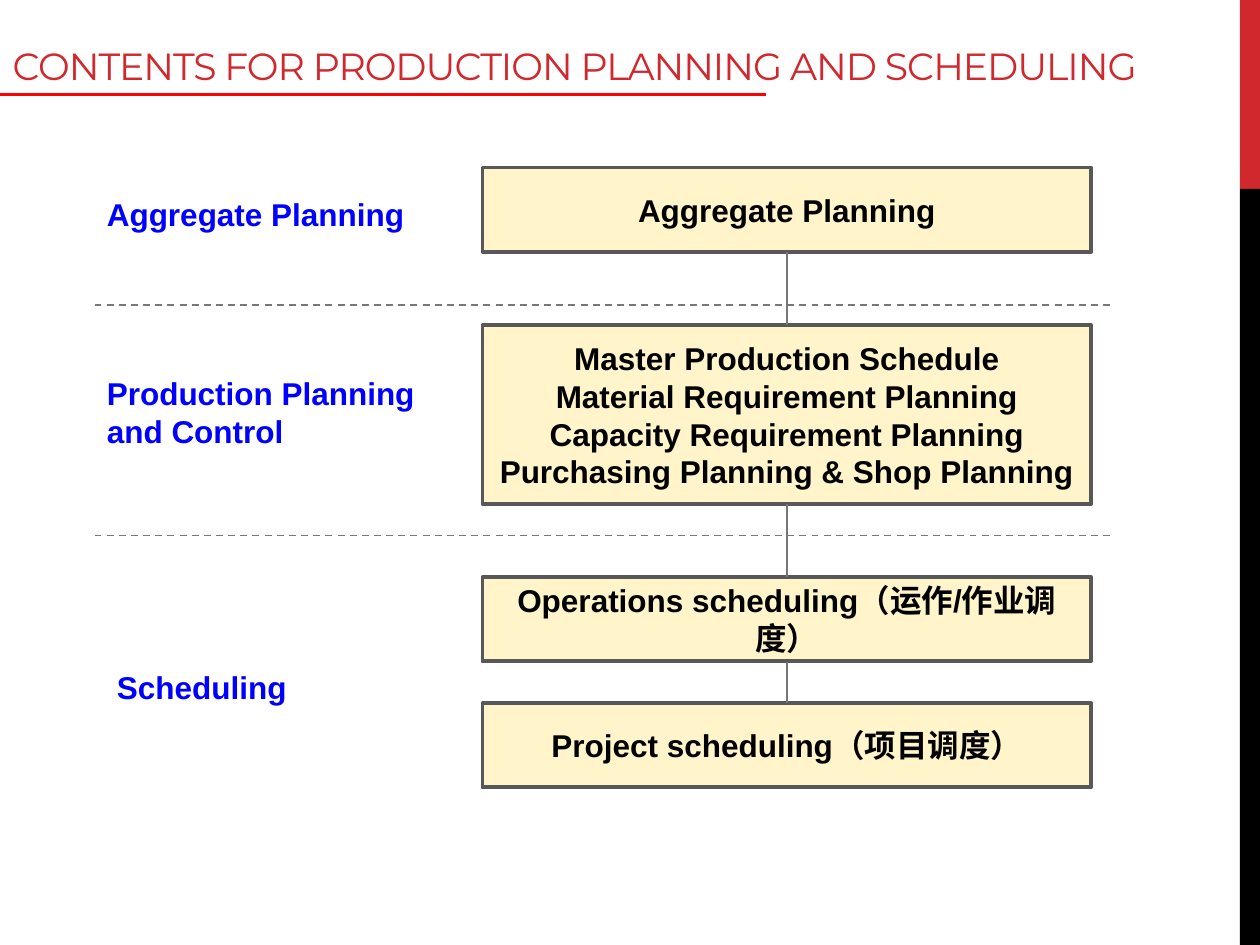
from lxml import etree
from pptx import Presentation
from pptx import util as u
from pptx.dml.color import RGBColor
from pptx.enum import dml, shapes, text
from pptx.oxml.ns import qn

RED = RGBColor(0xD1, 0x28, 0x2E)
RULE_RED = RGBColor(0xFF, 0x00, 0x00)
BLACK = RGBColor(0x00, 0x00, 0x00)
CREAM = RGBColor(0xFF, 0xF4, 0xCA)
BORDER_GREY = RGBColor(0x58, 0x58, 0x58)
LINE_GREY = RGBColor(0x77, 0x77, 0x77)
BLUE = RGBColor(0x00, 0x00, 0xFF)

STEPS = [
    (1.33, 0.67, ["Aggregate Planning"]),
    (2.58, 1.42, ["Master Production Schedule", "Material Requirement Planning",
                  "Capacity Requirement Planning", "Purchasing Planning & Shop Planning"]),
    (4.58, 0.67, ["Operations scheduling（运作/作业调度）"]),
    (5.58, 0.67, ["Project scheduling（项目调度）"]),
]
STAGES = [
    (0.75, 1.5, 0.4, "Aggregate Planning"),
    (0.75, 2.92, 0.71, "Production Planning and Control"),
    (0.83, 5.25, 0.4, "Scheduling"),
]
STAGE_BREAKS = [2.42, 4.25]


def write(frame, lines, size=18, font="Arial", color=BLACK, bold=True,
          align=text.PP_ALIGN.LEFT, anchor=text.MSO_ANCHOR.TOP, spacing=None):
    """Fill a text frame with one formatted paragraph per line."""
    frame.word_wrap = True
    frame.vertical_anchor = anchor
    for index, line in enumerate(lines):
        paragraph = frame.add_paragraph() if index else frame.paragraphs[0]
        paragraph.alignment = align
        run = paragraph.add_run()
        run.text = line
        run.font.size = u.Pt(size)
        run.font.name = font
        run.font.bold = bold
        run.font.color.rgb = color
        if spacing is not None:
            run._r.get_or_add_rPr().set("spc", str(spacing))


def add_block(slide, left, top, width, height, fill, border=None):
    """Add a flat rectangle, bordered if a border colour is given."""
    block = slide.shapes.add_shape(shapes.MSO_SHAPE.RECTANGLE, u.Inches(left),
                                   u.Inches(top), u.Inches(width), u.Inches(height))
    block.shadow.inherit = False
    block.fill.solid()
    block.fill.fore_color.rgb = fill
    if border is None:
        block.line.fill.background()
    else:
        block.line.color.rgb = border
        block.line.width = u.Pt(2.25)
    return block


def add_rule(slide, x1, y1, x2, y2, color=LINE_GREY, width=1, dashed=False):
    """Draw a straight line without a shadow."""
    rule = slide.shapes.add_connector(shapes.MSO_CONNECTOR.STRAIGHT, u.Inches(x1),
                                      u.Inches(y1), u.Inches(x2), u.Inches(y2))
    rule.line.color.rgb = color
    rule.line.width = u.Pt(width)
    if dashed:
        rule.line.dash_style = dml.MSO_LINE.DASH
    etree.SubElement(rule._element.spPr, qn("a:effectLst"))


def add_side_band(slide, left, top, width, height):
    """Draw the red and black band down the slide edge."""
    red_height = height / 5
    add_block(slide, left, top, width, red_height, RED)
    add_block(slide, left, top + red_height, width, height - red_height, BLACK)


def add_heading(slide, left, top, width, height):
    """Place the title and the red rule below it."""
    bottom = top + height
    add_rule(slide, left, bottom, left + 6.08, bottom, RULE_RED, 2.25)
    title = slide.shapes.title
    title.left, title.top = u.Inches(left), u.Inches(top)
    title.width, title.height = u.Inches(width), u.Inches(height)
    write(title.text_frame, ["CONTENTS FOR PRODUCTION PLANNING AND SCHEDULING"],
          size=21.6, font="Montserrat", color=RED, bold=False,
          anchor=text.MSO_ANCHOR.BOTTOM, spacing=-60)
    title.text_frame.auto_size = text.MSO_AUTO_SIZE.NONE


def add_flow(slide, left, width):
    """Stack the planning steps and join each to the next."""
    center = left + width / 2
    for top, height, lines in STEPS:
        step = add_block(slide, left, top, width, height, CREAM, BORDER_GREY)
        write(step.text_frame, lines, align=text.PP_ALIGN.CENTER,
              anchor=text.MSO_ANCHOR.MIDDLE)
    for (top, height, _), (next_top, _, _) in zip(STEPS, STEPS[1:]):
        add_rule(slide, center, top + height, center, next_top)


def add_stages(slide, left, width, label_width):
    """Name the planning stages and separate them with dashed lines."""
    for y in STAGE_BREAKS:
        add_rule(slide, left, y, left + width, y, dashed=True)
    for label_left, top, height, name in STAGES:
        label = slide.shapes.add_textbox(u.Inches(label_left), u.Inches(top),
                                         u.Inches(label_width), u.Inches(height))
        write(label.text_frame, [name], color=BLUE)
        label.text_frame.auto_size = text.MSO_AUTO_SIZE.SHAPE_TO_FIT_TEXT


def main():
    """Build and save the contents slide."""
    deck = Presentation()
    deck.slide_width, deck.slide_height = u.Inches(10), u.Inches(7.5)
    slide = deck.slides.add_slide(deck.slide_layouts[5])
    add_side_band(slide, 9.84, 0, 0.16, 7.5)
    add_heading(slide, 0, 0.13, 10, 0.62)
    add_flow(slide, 3.83, 4.83)
    add_stages(slide, 0.75, 8.08, 2.83)
    deck.save("out.pptx")


if __name__ == "__main__":
    main()
